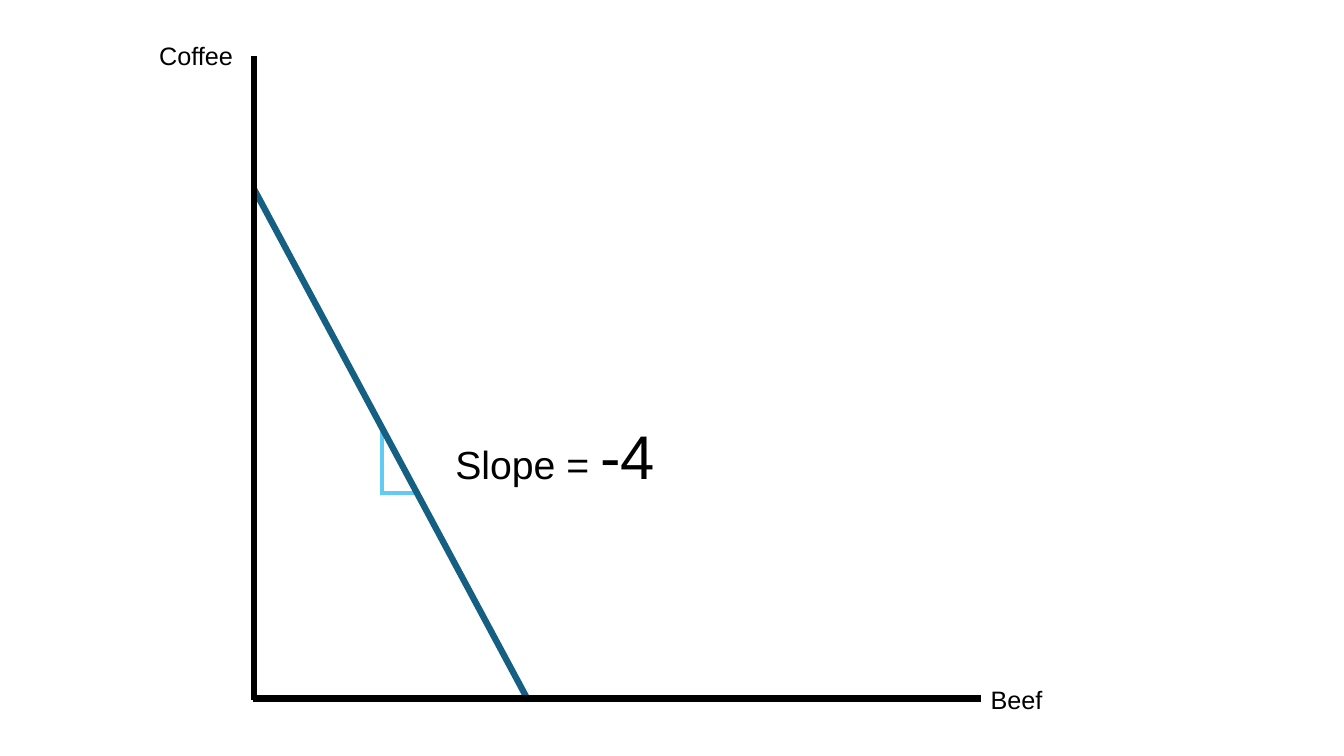
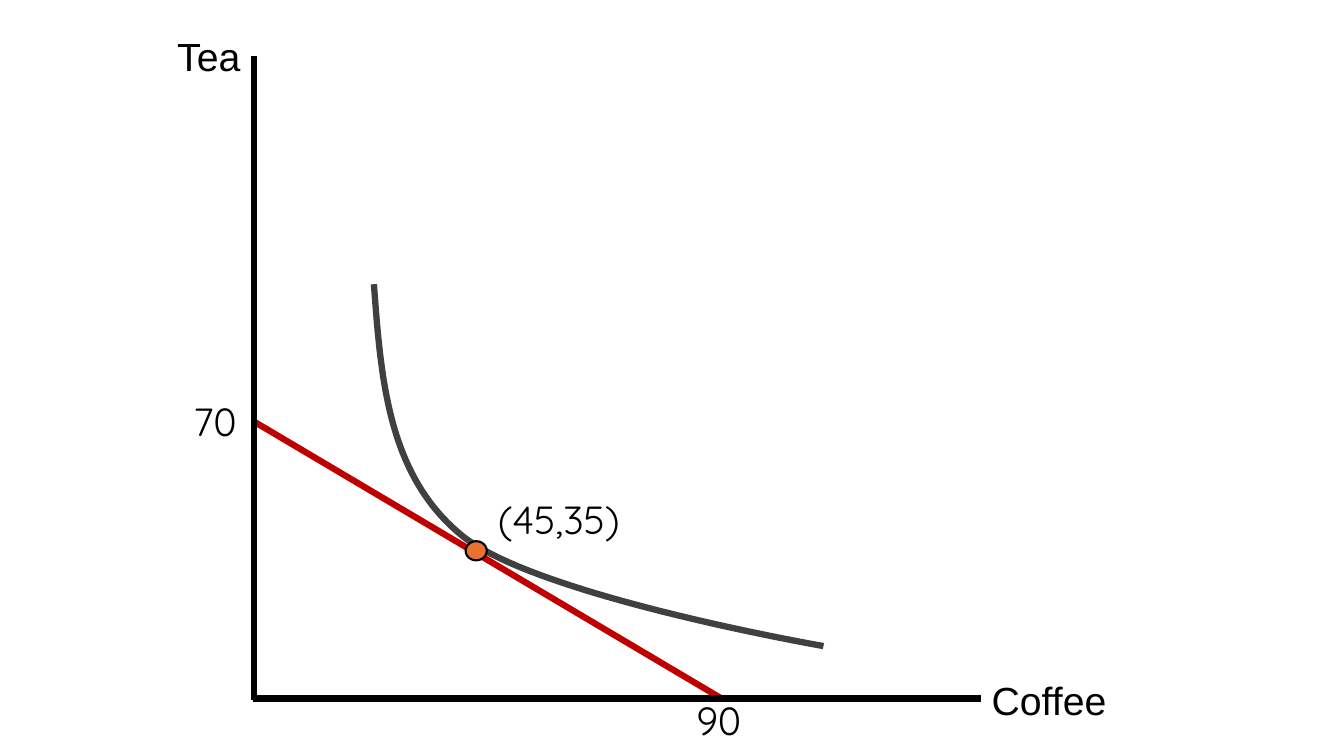
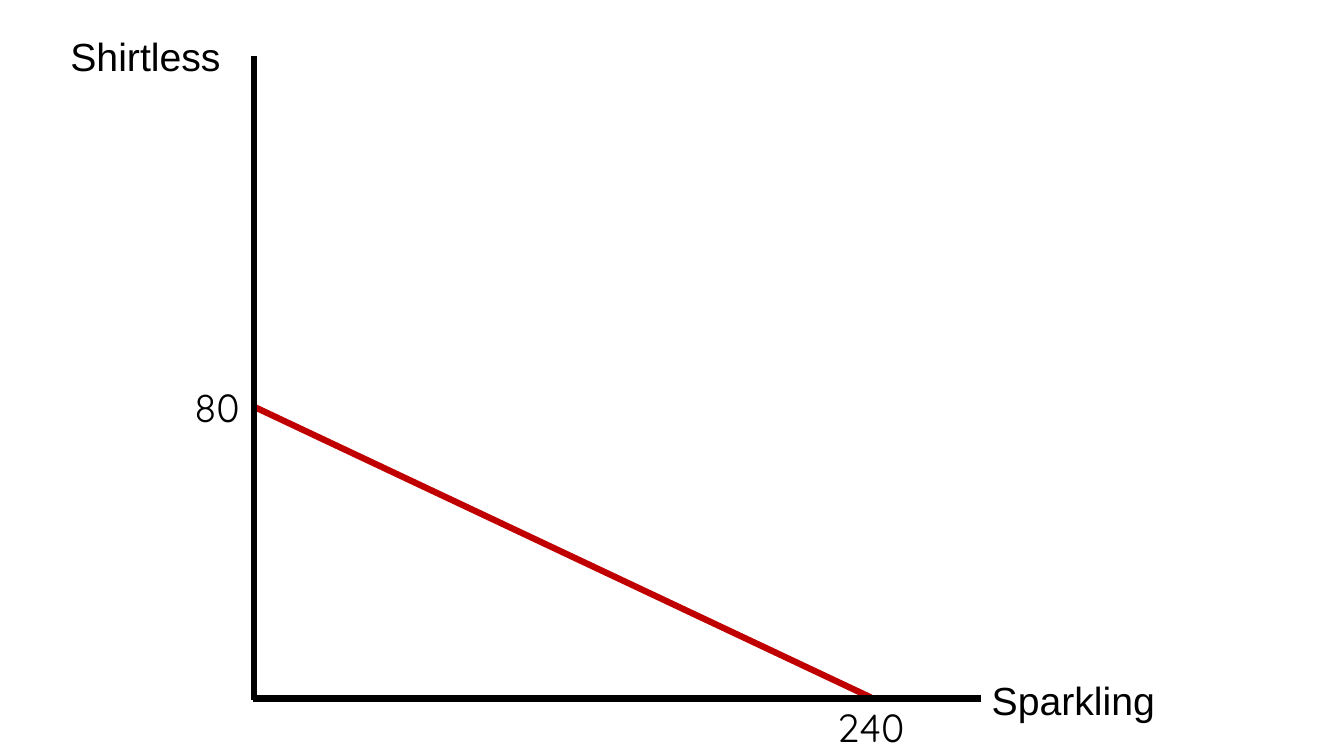
"""Build three budget-line diagrams that share one pair of axes."""
from dataclasses import dataclass
from typing import Any

from lxml import etree
from pptx import Presentation
from pptx.dml.color import RGBColor
from pptx.enum.shapes import MSO_CONNECTOR, MSO_SHAPE
from pptx.enum.text import MSO_AUTO_SIZE, PP_ALIGN
from pptx.oxml.ns import qn
from pptx.util import Pt

STRAIGHT = MSO_CONNECTOR.STRAIGHT
OVAL = MSO_SHAPE.OVAL
GROW = MSO_AUTO_SIZE.SHAPE_TO_FIT_TEXT
LEFT, CENTER = PP_ALIGN.LEFT, PP_ALIGN.CENTER

BLACK, RED, BLUE, SKY, GRAY, ORANGE = (
    "000000", "C00000", "156082", "61CBF4", "404040", "E97132")
NAME_FONT, VALUE_FONT = "Arial", "Quicksand"
THICK, THIN, OUTLINE = 4.5, 3, 1.5
ORIGIN_X, ORIGIN_Y, AXIS_TOP, AXIS_RIGHT = 181.2, 499, 40.3, 700.5
BLANK_LAYOUT = 6
CURVE_STEPS = 40

Point = tuple[float, float]


@dataclass(frozen=True)
class Line:
    """A straight line between two points."""

    start: Point
    end: Point
    color: str = RED
    width: float = THICK


@dataclass(frozen=True)
class Label:
    """A text box whose runs are pairs of text and size."""

    left: float
    top: float
    width: float
    height: float
    runs: tuple[tuple[str, float], ...]
    font: str = NAME_FONT
    align: Any = LEFT


@dataclass(frozen=True)
class Diagram:
    """The lines under the axes and the labels of one slide."""

    lines: tuple[Line, ...]
    labels: tuple[Label, ...]
    curve: tuple[tuple[Point, ...], ...] = ()
    dot: tuple[float, ...] = ()


AXES = (
    Line((ORIGIN_X, AXIS_TOP), (ORIGIN_X, ORIGIN_Y + 0.7), BLACK),
    Line((AXIS_RIGHT, ORIGIN_Y), (ORIGIN_X - 0.5, ORIGIN_Y), BLACK),
)


def name(left: float, top: float, width: float, text: str) -> Label:
    """Return a large axis name."""
    return Label(left, top, width, 41, ((text, 28),))


def value(left: float, top: float, width: float, text: str, align: Any = LEFT) -> Label:
    """Return a value marked on the diagram."""
    return Label(left, top, width, 41, ((text, 28),), VALUE_FONT, align)


DIAGRAMS = (
    Diagram(
        lines=(
            Line((272.9, 308.2), (272.9, 353.5), SKY, THIN),
            Line((272.2, 352.1), (297.4, 352.1), SKY, THIN),
            Line((ORIGIN_X, 134.6), (376.6, ORIGIN_Y), BLUE),
        ),
        labels=(
            Label(106.6, 25.2, 81.4, 29, (("Coffee", 18),)),
            Label(700.5, 485.3, 81.4, 29, (("Beef", 18),)),
            Label(318.2, 295.2, 185, 128, (("Slope = ", 28), ("-4", 44))),
        ),
    ),
    Diagram(
        curve=(
            ((267.1, 203), (272.2, 271.4), (277.2, 339.8), (330.5, 383)),
            ((330.5, 383), (384.5, 426.2), (588.2, 461.5), (588.2, 461.5)),
        ),
        lines=(Line((ORIGIN_X, 301), (515.5, ORIGIN_Y)),),
        labels=(
            name(119.5, 19.4, 66.2, "Tea"),
            name(701.3, 479.5, 110.2, "Coffee"),
            value(131, 280.1, 54.7, "70"),
            value(490.3, 493.9, 54.7, "90"),
            value(348.5, 350.6, 131, "(45,35)"),
        ),
        dot=(332.6, 386.6, 15.1, 13.7),
    ),
    Diagram(
        lines=(Line((182.2, 290.9), (622.1, 498.2)),),
        labels=(
            name(43.2, 19.4, 138.2, "Shirtless"),
            name(701.3, 479.5, 153.4, "Sparkling"),
            value(120.2, 270, 69.8, "80", CENTER),
            value(580.3, 499, 83.5, "240", CENTER),
        ),
    ),
)


def rgb(color: str) -> RGBColor:
    """Turn a hex string into a colour."""
    return RGBColor.from_string(color)


def set_line(sp: Any, color: str, width: float) -> None:
    """Set the outline of a shape or connector."""
    sp.line.color.rgb = rgb(color)
    sp.line.width = Pt(width)


def add_run(p: Any, text: str, *, size: float, font: str, color: str = BLACK) -> None:
    """Add formatted text to a paragraph."""
    r = p.add_run()
    r.text = text
    r.font.size = Pt(size)
    r.font.name = font
    r.font.color.rgb = rgb(color)


def draw_label(s: Any, label: Label) -> None:
    """Draw one label as a text box."""
    sp = s.shapes.add_textbox(
        Pt(label.left), Pt(label.top), Pt(label.width), Pt(label.height))
    tf = sp.text_frame
    tf.word_wrap = True
    tf.auto_size = GROW
    p = tf.paragraphs[0]
    p.alignment = label.align
    for text, size in label.runs:
        add_run(p, text, size=size, font=label.font)


def draw_line(s: Any, line: Line) -> None:
    """Draw one straight connector without a shadow."""
    sp = s.shapes.add_connector(
        STRAIGHT, *(Pt(v) for v in (*line.start, *line.end)))
    set_line(sp, line.color, line.width)
    etree.SubElement(sp._element.spPr, qn("a:effectLst"))


def bezier(points: tuple[Point, ...], t: float) -> Point:
    """Return the point at t on a cubic curve."""
    u = 1 - t
    weights = (u**3, 3 * u * u * t, 3 * u * t * t, t**3)
    x, y = (sum(w * v for w, v in zip(weights, axis)) for axis in zip(*points))
    return Pt(x), Pt(y)


def draw_curve(s: Any, curve: tuple[tuple[Point, ...], ...]) -> None:
    """Draw joined cubic curves as one open outline."""
    start, *rest = [bezier(part, i / CURVE_STEPS)
                    for part in curve for i in range(CURVE_STEPS + 1)]
    builder = s.shapes.build_freeform(*start)
    builder.add_line_segments(rest, close=False)
    sp = builder.convert_to_shape()
    sp.shadow.inherit = False
    sp.fill.background()
    set_line(sp, GRAY, THICK)


def draw_dot(s: Any, box: tuple[float, ...]) -> None:
    """Draw the point where curve and line touch."""
    sp = s.shapes.add_shape(OVAL, *(Pt(v) for v in box))
    sp.shadow.inherit = False
    sp.fill.solid()
    sp.fill.fore_color.rgb = rgb(ORANGE)
    set_line(sp, BLACK, OUTLINE)


def draw_diagram(s: Any, diagram: Diagram) -> None:
    """Draw one diagram with the shared axes on a slide."""
    if diagram.curve:
        draw_curve(s, diagram.curve)
    for line in diagram.lines + AXES:
        draw_line(s, line)
    for label in diagram.labels:
        draw_label(s, label)
    if diagram.dot:
        draw_dot(s, diagram.dot)


def main() -> None:
    """Build and save the presentation."""
    prs = Presentation()
    prs.slide_width, prs.slide_height = Pt(960), Pt(540)
    for diagram in DIAGRAMS:
        draw_diagram(prs.slides.add_slide(prs.slide_layouts[BLANK_LAYOUT]), diagram)
    prs.save("out.pptx")


if __name__ == "__main__":
    main()
